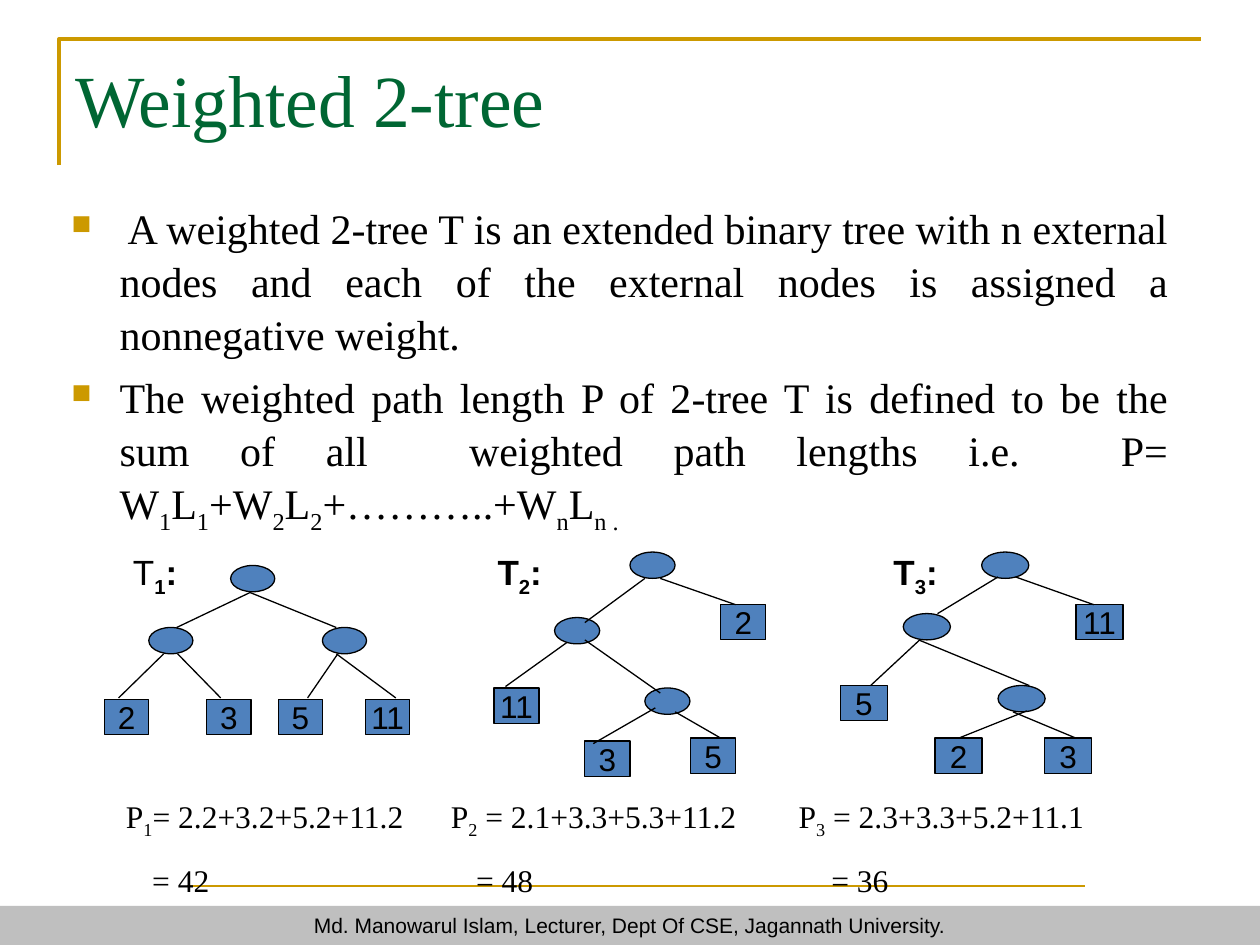
"""Build a slide that compares the weighted path lengths of three 2-trees."""
from dataclasses import dataclass
from typing import NamedTuple, Optional

import pptx
import pptx.dml.color
import pptx.enum.shapes
import pptx.enum.text
import pptx.oxml.ns
import pptx.util
from lxml import etree

Cm = pptx.util.Cm
Pt = pptx.util.Pt
RGBColor = pptx.dml.color.RGBColor
Shapes = pptx.enum.shapes.MSO_SHAPE
Align = pptx.enum.text.PP_ALIGN
Anchor = pptx.enum.text.MSO_ANCHOR
qn = pptx.oxml.ns.qn

BLACK = RGBColor(0x00, 0x00, 0x00)
GOLD = RGBColor(0xCC, 0x99, 0x00)
GREEN = RGBColor(0x00, 0x66, 0x33)
GREY = RGBColor(0xBF, 0xBF, 0xBF)
BLUE = RGBColor(0x4F, 0x81, 0xBD)
SERIF = "Times New Roman"
SANS = "Arial"
NODE_HEIGHT = 0.53
LEAF_HEIGHT = 0.71


class Span(NamedTuple):
    text: str
    lowered: bool = False
    bold: bool = False


class Style(NamedTuple):
    font: str
    size: float
    color: RGBColor = BLACK


class Node(NamedTuple):
    left: float
    top: float


class Leaf(NamedTuple):
    left: float
    top: float
    weight: str


class Edge(NamedTuple):
    x1: float
    y1: float
    x2: float
    y2: float
    leaf: Optional[int] = None


@dataclass
class Tree:
    width: float
    nodes: list[Node]
    leaves: list[Leaf]
    edges: list[Edge]


TREES = [
    Tree(0.89,
         [Node(4.65, 11.4), Node(3, 12.65), Node(6.5, 12.65)],
         [Leaf(2.11, 14.1, "2"), Leaf(4.17, 14.1, "3"),
          Leaf(5.61, 14.1, "5"), Leaf(7.37, 14.1, "11")],
         [Edge(5.05, 11.94, 3.56, 12.65), Edge(5.03, 11.94, 6.78, 12.65),
          Edge(3.3, 13.18, 2.39, 14.07), Edge(3.58, 13.18, 4.45, 14.07),
          Edge(6.81, 13.18, 6.2, 14.07), Edge(6.78, 13.18, 7.98, 14.07)]),
    Tree(0.95,
         [Node(19.79, 11.13), Node(18.21, 12.37), Node(20.12, 13.82)],
         [Leaf(16.94, 13.82, "5"), Leaf(18.85, 14.88, "2"),
          Leaf(21.06, 14.88, "3"), Leaf(21.69, 12.19, "11")],
         [Edge(20.47, 11.63, 22.05, 12.19), Edge(20.12, 11.63, 18.9, 12.37),
          Edge(18.54, 12.9, 17.55, 13.82), Edge(18.52, 12.9, 20.75, 13.82),
          Edge(20.7, 14.33, 19.41, 14.86, leaf=1), Edge(20.42, 14.35, 21.69, 14.88)]),
    Tree(0.91,
         [Node(12.7, 11.13), Node(11.18, 12.45), Node(13, 13.87)],
         [Leaf(9.96, 13.87, "11"), Leaf(11.79, 14.94, "3"),
          Leaf(13.92, 14.88, "5"), Leaf(14.53, 12.19, "2")],
         [Edge(13, 11.66, 11.79, 12.55), Edge(13.31, 11.66, 14.83, 12.19),
          Edge(11.43, 12.95, 10.19, 13.84), Edge(11.79, 12.9, 13.31, 13.97),
          Edge(13.21, 14.27, 11.96, 14.99), Edge(13.61, 14.35, 14.53, 14.88)]),
]


def split_spans(markup: str, bold: bool = False) -> list[Span]:
    """Split text into spans, lowering whatever stands between tildes."""
    return [Span(text, index % 2 == 1, bold)
            for index, text in enumerate(markup.split("~")) if text]


def write(paragraph, spans: list[Span], style: Style) -> None:
    """Add the spans to the paragraph in one style."""
    for span in spans:
        run = paragraph.add_run()
        run.text = span.text
        run.font.name, run.font.size = style.font, Pt(style.size)
        run.font.bold = span.bold
        run.font.color.rgb = style.color
        if span.lowered:
            run.font._element.set("baseline", "-25000")


def set_tabs(paragraph, stops: list[float]) -> None:
    """Give the paragraph left tab stops."""
    tabs = etree.SubElement(paragraph._p.get_or_add_pPr(), qn("a:tabLst"))
    for stop in stops:
        etree.SubElement(tabs, qn("a:tab"), pos=str(int(Cm(stop))), algn="l")


def set_bullet(paragraph) -> None:
    """Give the paragraph a hanging gold square."""
    properties = paragraph._p.get_or_add_pPr()
    properties.set("marL", str(int(Cm(0.97))))
    properties.set("indent", str(int(Cm(-0.97))))
    color = etree.SubElement(properties, qn("a:buClr"))
    etree.SubElement(color, qn("a:srgbClr"), val=str(GOLD))
    etree.SubElement(properties, qn("a:buSzPct"), val="65000")
    etree.SubElement(properties, qn("a:buChar"), char="■")


def add_text_frame(page, left: float, top: float, width: float, height: float):
    """Add a wrapping text box and return its frame."""
    frame = page.shapes.add_textbox(Cm(left), Cm(top), Cm(width), Cm(height)).text_frame
    frame.word_wrap = True
    return frame


def add_block(page, kind, left: float, top: float, width: float, height: float,
              fill: RGBColor, outlined: bool = True):
    """Add a filled preset shape."""
    block = page.shapes.add_shape(kind, Cm(left), Cm(top), Cm(width), Cm(height))
    block.shadow.inherit = False
    block.fill.solid()
    block.fill.fore_color.rgb = fill
    if outlined:
        block.line.color.rgb, block.line.width = BLACK, Pt(0.75)
    else:
        block.line.fill.background()
    return block


def add_label(block, text: str, style: Style) -> None:
    """Write centred text on a block."""
    frame = block.text_frame
    frame.word_wrap = False
    frame.vertical_anchor = Anchor.MIDDLE
    frame.paragraphs[0].alignment = Align.CENTER
    write(frame.paragraphs[0], [Span(text)], style)


def add_line(page, edge: Edge, color: RGBColor, weight: float):
    """Add a straight line without a shadow."""
    line = page.shapes.add_connector(pptx.enum.shapes.MSO_CONNECTOR.STRAIGHT,
                                     Cm(edge.x1), Cm(edge.y1), Cm(edge.x2), Cm(edge.y2))
    line.line.color.rgb, line.line.width = color, Pt(weight)
    etree.SubElement(line._element.spPr, qn("a:effectLst"))
    return line


def add_tree(page, tree: Tree) -> None:
    """Draw the nodes, the leaves and the edges of one tree."""
    for node in tree.nodes:
        add_block(page, Shapes.OVAL, node.left, node.top, tree.width, NODE_HEIGHT, BLUE)
    leaves = []
    for leaf in tree.leaves:
        block = add_block(page, Shapes.RECTANGLE, leaf.left, leaf.top,
                          tree.width, LEAF_HEIGHT, BLUE)
        add_label(block, leaf.weight, Style(SANS, 18))
        leaves.append(block)
    for edge in tree.edges:
        line = add_line(page, edge, BLACK, 0.75)
        if edge.leaf is not None:
            line.end_connect(leaves[edge.leaf], 0)


def add_frame(page) -> None:
    """Draw the page decoration and the footer."""
    add_line(page, Edge(3.76, 17.86, 21.87, 17.86), GOLD, 1)
    footer = add_block(page, Shapes.RECTANGLE, 0, 18.26, 25.4, 0.79, GREY, outlined=False)
    add_label(footer, "Md. Manowarul Islam, Lecturer, Dept Of CSE, Jagannath University.",
              Style(SANS, 12))
    builder = page.shapes.build_freeform(Cm(1.19), Cm(3.33))
    builder.add_line_segments([(Cm(1.19), Cm(0.79)), (Cm(24.21), Cm(0.79))], close=False)
    corner = builder.convert_to_shape()
    corner.shadow.inherit = False
    corner.fill.background()
    corner.line.color.rgb, corner.line.width = GOLD, Pt(2)


def add_texts(page) -> None:
    """Write the title, the definitions and the path lengths."""
    title = add_text_frame(page, 1.27, 0.76, 22.86, 3.18)
    title.margin_top = Cm(0.33)
    write(title.paragraphs[0], [Span("Weighted 2-tree")], Style(SERIF, 42, GREEN))

    body = add_text_frame(page, 1.19, 3.91, 22.61, 9)
    definitions = [
        " A weighted 2-tree T is an extended binary tree with n external nodes and "
        "each of the external nodes is assigned a nonnegative weight.",
        "The weighted path length P of 2-tree T is defined to be the sum of all  weighted "
        "path lengths i.e.  P= W~1~L~1~+W~2~L~2~+………..+W~n~L~n .~",
    ]
    for index, markup in enumerate(definitions):
        paragraph = body.add_paragraph() if index else body.paragraphs[0]
        set_bullet(paragraph)
        paragraph.alignment = Align.JUSTIFY
        paragraph.line_spacing = 1.05
        paragraph.space_before = Pt(6 if index else 0)
        write(paragraph, split_spans(markup), Style(SERIF, 24))

    lengths = add_text_frame(page, 1.07, 15.95, 23.29, 2.29)
    sums, totals = lengths.paragraphs[0], lengths.add_paragraph()
    set_tabs(sums, [1.22, 7.77, 14.78])
    set_tabs(totals, [1.75, 8.28, 15.44])
    totals.space_before = Pt(12)
    write(sums, split_spans("\tP~1~= 2.2+3.2+5.2+11.2\tP~2~ = 2.1+3.3+5.3+11.2"
                            "\tP~3~ = 2.3+3.3+5.2+11.1"), Style(SERIF, 18))
    write(totals, [Span("\t= 42\t= 48\t= 36")], Style(SERIF, 18))


def add_tree_names(page) -> None:
    """Write the names of the trees in one tabbed line."""
    names = add_text_frame(page, 1.07, 10.97, 22.02, 1.22).paragraphs[0]
    set_tabs(names, [1.36, 8.71, 16.69])
    write(names, [Span("\tT")] + split_spans("~1~:\tT~2~:\tT~3~:", bold=True),
          Style(SANS, 20))


def main() -> None:
    """Build and save the deck."""
    deck = pptx.Presentation()
    deck.slide_width, deck.slide_height = Cm(25.4), Cm(19.05)
    page = deck.slides.add_slide(deck.slide_layouts[6])
    add_frame(page)
    add_texts(page)
    for tree in TREES:
        add_tree(page, tree)
    add_tree_names(page)
    deck.save("out.pptx")


if __name__ == "__main__":
    main()
